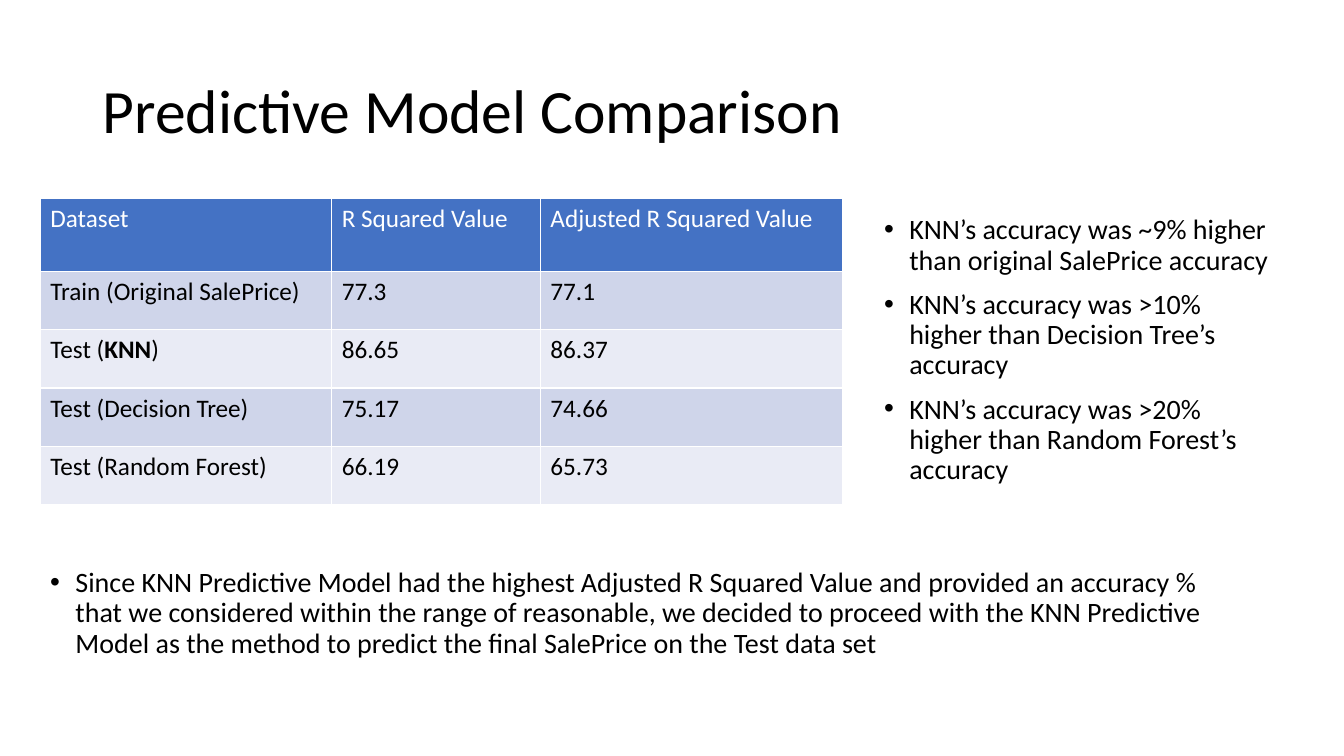
from lxml.etree import SubElement as Sub
from pptx import Presentation
from pptx.dml.color import RGBColor
from pptx.enum.text import MSO_ANCHOR as Anchor, PP_ALIGN as Align
from pptx.oxml.ns import qn
from pptx.util import Inches, Pt

BLACK, WHITE, BLUE = "000000", "FFFFFF", "4472C4"
BANDS = ["CFD5EA", "E9EBF5"]
COLS = [2.89, 2.07, 3]
ROWS = [0.72] + [0.58] * 4
DATA = [
    ["Dataset", "R Squared Value", "Adjusted R Squared Value"],
    ["Train (Original SalePrice)", "77.3", "77.1"],
    [["Test (", "KNN", ")"], "86.65", "86.37"],
    ["Test (Decision Tree)", "75.17", "74.66"],
    ["Test (Random Forest)", "66.19", "65.73"],
]
GAINS = [
    "KNN’s accuracy was ~9% higher than original SalePrice accuracy",
    "KNN’s accuracy was >10% higher than Decision Tree’s accuracy",
    "KNN’s accuracy was >20% higher than Random Forest’s accuracy",
]
CHOICE = [
    "Since KNN Predictive Model had the highest Adjusted R Squared Value "
    "and provided an accuracy % that we considered within the range of "
    "reasonable, we decided to proceed with the KNN Predictive Model as "
    "the method to predict the final SalePrice on the Test data set"
]


def color(code):
    return RGBColor.from_string(code)


def add_run(para, text, size, code=BLACK, bold=False):
    run = para.add_run()
    run.text = text
    font = run.font
    font.name, font.size, font.bold = "Calibri", Pt(size), bold
    font.color.rgb = color(code)


def add_title(slide, box, text):
    title = slide.shapes.title
    title.left, title.top, title.width, title.height = map(Inches, box)
    frame = title.text_frame
    frame.word_wrap = True
    frame.vertical_anchor = Anchor.MIDDLE
    para = frame.paragraphs[0]
    para.alignment = Align.LEFT
    para.line_spacing = 0.9
    add_run(para, text, 44)


def add_list(slide, box, items):
    frame = slide.shapes.add_textbox(*map(Inches, box)).text_frame
    frame.word_wrap = True
    for i, item in enumerate(items):
        para = frame.add_paragraph() if i else frame.paragraphs[0]
        para.line_spacing = 0.9
        para.space_before = Pt(10 if i else 0)
        props = para._p.get_or_add_pPr()
        props.set("marL", str(Inches(0.25)))
        props.set("indent", str(Inches(-0.25)))
        Sub(props, qn("a:buFont"), typeface="Arial")
        Sub(props, qn("a:buChar"), char="•")
        add_run(para, item, 20)


def add_scores(slide, box):
    frame = slide.shapes.add_table(len(ROWS), len(COLS), *map(Inches, box))
    table = frame.table
    for col, width in zip(table.columns, COLS):
        col.width = Inches(width)
    for row, height in zip(table.rows, ROWS):
        row.height = Inches(height)
    for r, line in enumerate(DATA):
        for c, value in enumerate(line):
            cell = table.cell(r, c)
            cell.fill.solid()
            cell.fill.fore_color.rgb = color(BANDS[(r - 1) % 2] if r else BLUE)
            para = cell.text_frame.paragraphs[0]
            parts = [value] if isinstance(value, str) else value
            for part in parts:
                add_run(para, part, 18, BLACK if r else WHITE, part == "KNN")


def main():
    deck = Presentation()
    deck.slide_width, deck.slide_height = Inches(13.33), Inches(7.5)
    slide = deck.slides.add_slide(deck.slide_layouts[5])
    add_title(slide, (0.92, 0.4, 11.5, 1.45), "Predictive Model Comparison")
    add_list(slide, (0.4, 5.59, 11.66, 1.48), CHOICE)
    add_scores(slide, (0.4, 1.97, sum(COLS), sum(ROWS)))
    add_list(slide, (8.67, 2.09, 4.06, 2.91), GAINS)
    deck.save("out.pptx")


if __name__ == "__main__":
    main()
